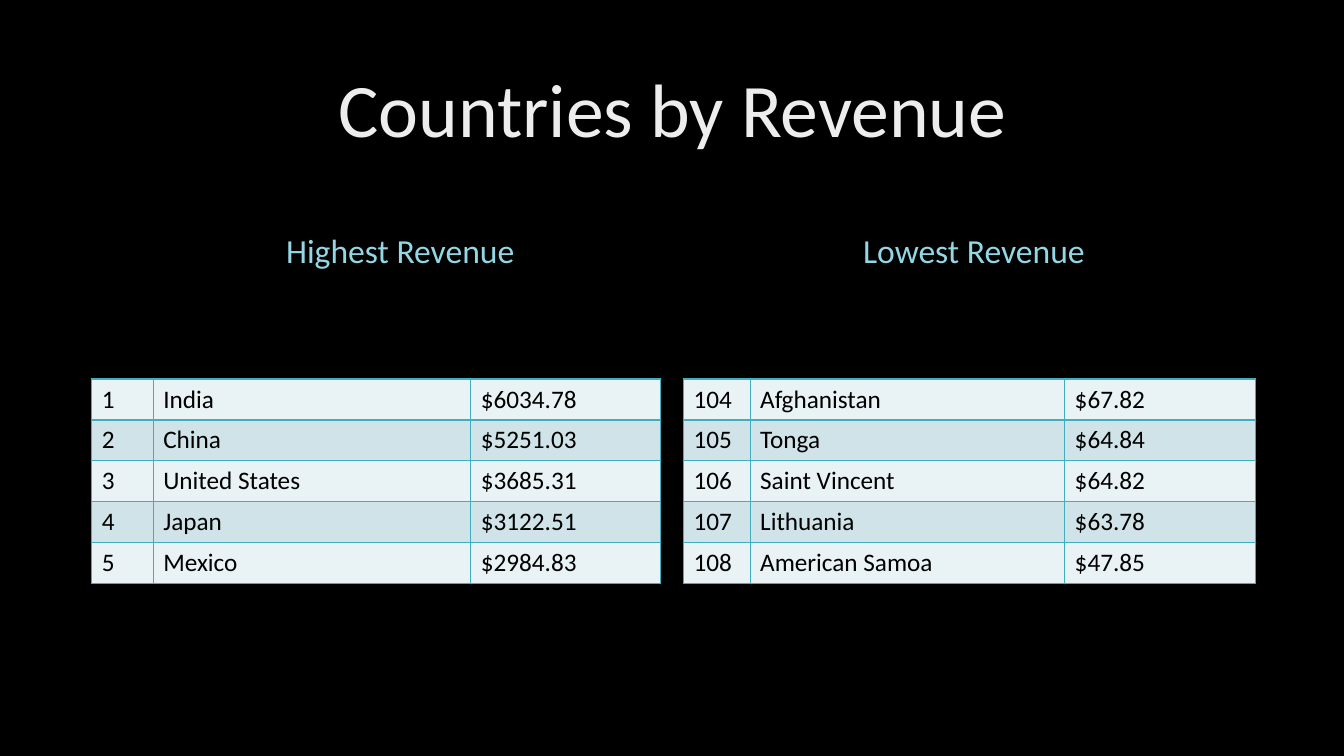
"""Build the Countries by Revenue slide with its two ranking tables."""
from dataclasses import dataclass

from lxml.etree import SubElement
from pptx import Presentation
from pptx.dml.color import RGBColor
from pptx.enum.text import MSO_ANCHOR as Anchor, PP_ALIGN as Align
from pptx.oxml.ns import qn
from pptx.util import Inches, Pt


@dataclass(frozen=True)
class Theme:
    font: str = "Calibri"
    background: str = "000000"
    title: str = "EDEDED"
    heading: str = "94D7E4"
    cell_text: str = "000000"
    bands: tuple = ("E9F2F4", "CFE3E8")
    border: str = "41AEBD"
    title_size: int = 54
    heading_size: int = 24
    cell_size: int = 18
    border_width: int = 1


theme = Theme()


def style_text(frame, size, color):
    for span in frame.paragraphs[0].runs:
        span.font.name = theme.font
        span.font.size = Pt(size)
        span.font.color.rgb = RGBColor.from_string(color)


def add_label(text, bounds, size, color, anchor):
    box = page.shapes.add_textbox(*map(Inches, bounds))
    frame = box.text_frame
    frame.word_wrap = True
    frame.vertical_anchor = anchor
    frame.text = text
    para = frame.paragraphs[0]
    para.alignment = Align.CENTER
    para.line_spacing = 0.9
    style_text(frame, size, color)


deck = Presentation()
deck.slide_width, deck.slide_height = Inches(13.33), Inches(7.5)
page = deck.slides.add_slide(deck.slide_layouts[6])
page.background.fill.solid()
page.background.fill.fore_color.rgb = RGBColor.from_string(theme.background)

add_label("Countries by Revenue", (0.92, 0.4, 11.5, 1.45),
          theme.title_size, theme.title, Anchor.MIDDLE)

rankings = [
    ("Highest Revenue", 1.22, 0.91, (0.61, 3.15, 1.88), [
        ("1", "India", "$6034.78"),
        ("2", "China", "$5251.03"),
        ("3", "United States", "$3685.31"),
        ("4", "Japan", "$3122.51"),
        ("5", "Mexico", "$2984.83"),
    ]),
    ("Lowest Revenue", 6.91, 6.78, (0.66, 3.12, 1.89), [
        ("104", "Afghanistan", "$67.82"),
        ("105", "Tonga", "$64.84"),
        ("106", "Saint Vincent", "$64.82"),
        ("107", "Lithuania", "$63.78"),
        ("108", "American Samoa", "$47.85"),
    ]),
]

for heading, heading_left, table_left, widths, countries in rankings:
    add_label(heading, (heading_left, 1.84, 5.5, 0.9),
              theme.heading_size, theme.heading, Anchor.BOTTOM)
    table = page.shapes.add_table(
        len(countries), len(widths), Inches(table_left), Inches(3.76),
        Inches(sum(widths)), Inches(2.03)).table
    table.first_row = False
    table.horz_banding = False
    for column, width in zip(table.columns, widths):
        column.width = Inches(width)
    for row, country in enumerate(countries):
        for col, value in enumerate(country):
            cell = table.cell(row, col)
            cell.text_frame.text = value
            style_text(cell.text_frame, theme.cell_size, theme.cell_text)
            properties = cell._tc.get_or_add_tcPr()
            for side in ("a:lnL", "a:lnR", "a:lnT", "a:lnB"):
                line = SubElement(properties, qn(side), w=str(Pt(theme.border_width)))
                fill = SubElement(line, qn("a:solidFill"))
                SubElement(fill, qn("a:srgbClr"), val=theme.border)
            cell.fill.solid()
            cell.fill.fore_color.rgb = RGBColor.from_string(theme.bands[row % 2])

deck.save("out.pptx")
